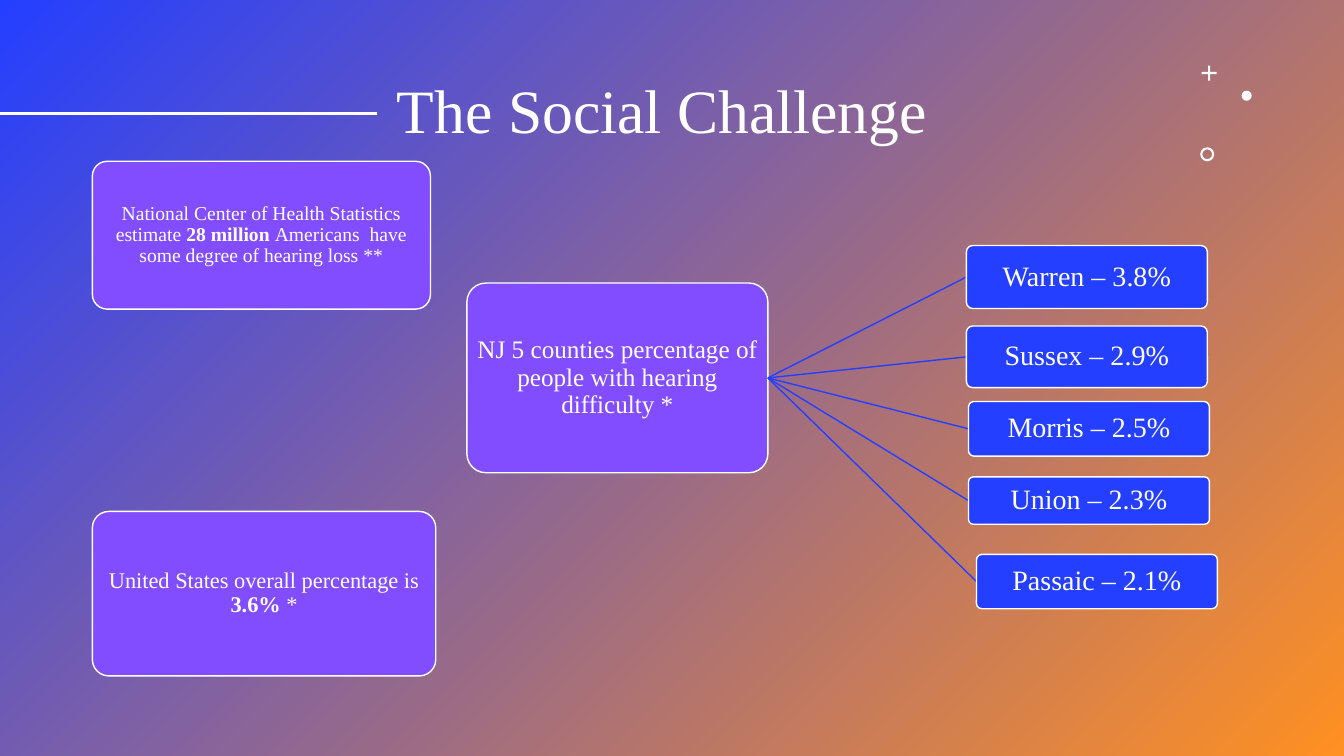
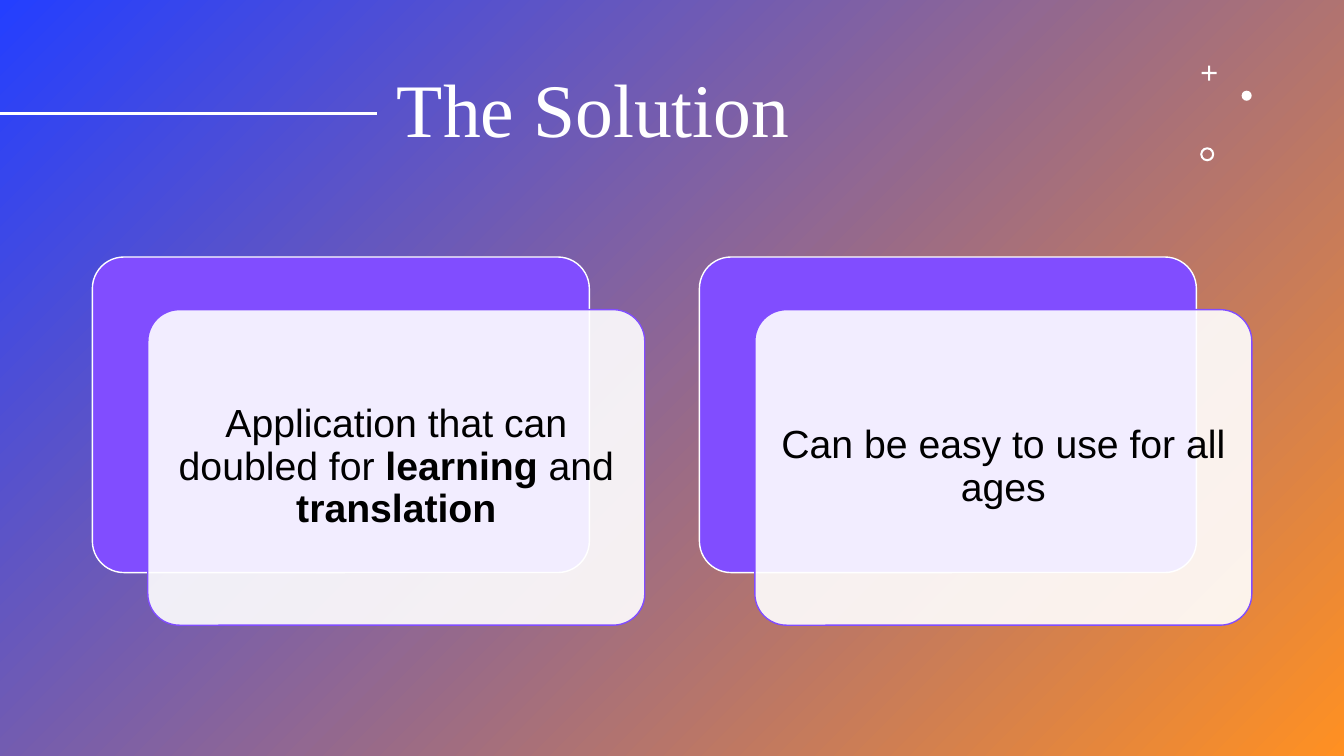
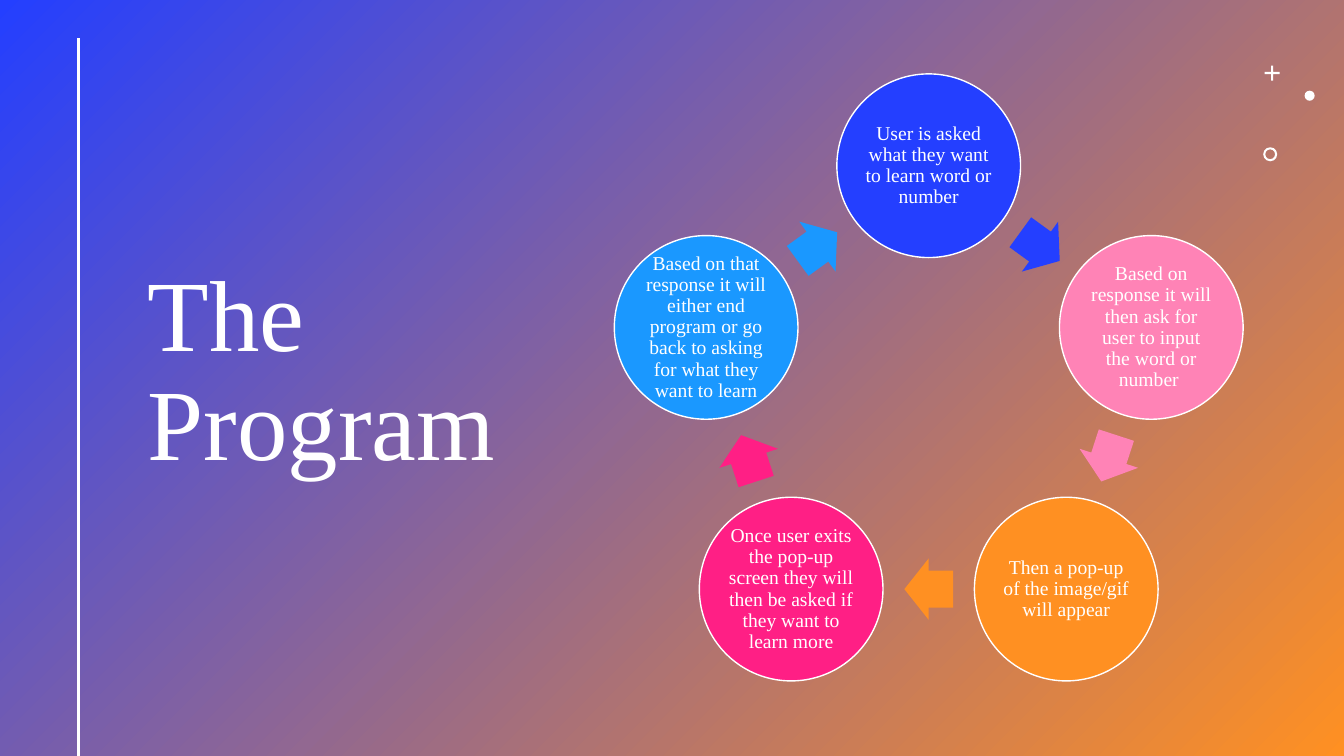
"""Build three slides on hearing loss, a learning app and its program loop."""
import math

from lxml import etree
from pptx import Presentation
from pptx import util as u
from pptx.dml.color import RGBColor
from pptx.enum import shapes, text
from pptx.oxml.ns import qn

Pt = u.Pt
SHAPE = shapes.MSO_SHAPE
WIDTH, HEIGHT = 960, 540
SERIF, SANS = "Times New Roman", "Arial"
WHITE = RGBColor(0xFF, 0xFF, 0xFF)
BLACK = RGBColor(0x00, 0x00, 0x00)
BLUE = RGBColor(0x24, 0x3F, 0xFF)
ORANGE = RGBColor(0xFF, 0x90, 0x22)
PURPLE = RGBColor(0x81, 0x4D, 0xFF)
ROSE = RGBColor(0xFF, 0x83, 0xB6)
MAGENTA = RGBColor(0xFF, 0x1F, 0x85)
SKY = RGBColor(0x1A, 0x98, 0xFF)


def add_shape(page, kind, box, fill=None, line=None, adjust=()):
    """Add a flat preset shape in box (left, top, width, height)."""
    shape = page.shapes.add_shape(kind, *map(Pt, box))
    shape.shadow.inherit = False
    if fill is not None:
        shape.fill.solid()
        shape.fill.fore_color.rgb = fill
    if line is None:
        shape.line.fill.background()
    else:
        shape.line.color.rgb = line
        shape.line.width = Pt(1)
    for index, value in enumerate(adjust):
        shape.adjustments[index] = value
    return shape


def add_line(page, start, end, color, width):
    """Add a straight line between two points."""
    line = page.shapes.add_connector(shapes.MSO_CONNECTOR.STRAIGHT, *map(Pt, start + end))
    line.line.color.rgb = color
    line.line.width = Pt(width)
    etree.SubElement(line.element.spPr, qn("a:effectLst"))
    return line


def write(shape, spans, size, font=SERIF, color=WHITE, align=text.PP_ALIGN.CENTER, margin=None):
    """Write one paragraph of (words, bold) spans, centred vertically."""
    frame = shape.text_frame
    frame.word_wrap = True
    frame.vertical_anchor = text.MSO_ANCHOR.MIDDLE
    if margin is not None:
        frame.margin_left = frame.margin_right = Pt(margin)
        frame.margin_top = frame.margin_bottom = Pt(margin)
    para = frame.paragraphs[0]
    para.alignment = align
    para.line_spacing = 0.9
    para.font.size = Pt(size)
    para.font.name = font
    para.font.color.rgb = color
    for words, bold in spans:
        span = para.add_run()
        span.text = words
        if bold:
            span.font.bold = True


def add_ornament(page, left, top):
    """Add the plus, dot and ring, with the plus at left, top."""
    add_shape(page, SHAPE.CROSS, (left, top, 10.8, 10.8), WHITE, adjust=[0.43])
    add_shape(page, SHAPE.OVAL, (left + 28.6, top + 18, 7.2, 7.2), WHITE)
    add_shape(page, SHAPE.DONUT, (left - 1, top + 58.4, 10, 10), WHITE, adjust=[0.15])


def add_page(deck, title, size, title_box, rule, ornament_left):
    """Add a slide with gradient, title, white rule and ornament."""
    page = deck.slides.add_slide(deck.slide_layouts[6])
    backdrop = add_shape(page, SHAPE.RECTANGLE, (0, 0, WIDTH, HEIGHT))
    backdrop.fill.gradient()
    backdrop.fill.gradient_angle = 315
    for stop, color, position in zip(backdrop.fill.gradient_stops, (BLUE, ORANGE), (0, 1)):
        stop.color.rgb = color
        stop.position = position
    heading = page.shapes.add_textbox(*map(Pt, title_box))
    write(heading, [(title, False)], size, align=text.PP_ALIGN.LEFT)
    add_line(page, *rule, WHITE, 2)
    add_ornament(page, ornament_left, 46.8)
    return page


def add_top_title_page(deck, title, size):
    """Add a slide whose title stands right of a horizontal rule."""
    return add_page(deck, title, size, (276.5, 28.8, 563.8, 104.4), ((0, 81), (269, 81)), 858.3)


def add_rounded(page, box, fill, spans, size):
    """Add a rounded box with white outline and centred text."""
    shape = add_shape(page, SHAPE.ROUNDED_RECTANGLE, box, fill, WHITE, [0.1])
    write(shape, spans, size, margin=0.8)
    return shape


def add_county_tree(page, left, top):
    """Add the county heading joined to one box for each county."""
    hub = add_rounded(page, (left, top + 26.8, 215, 135.5), PURPLE,
                      [("NJ 5 counties percentage of people with hearing difficulty *", False)], 18)
    counties = [
        ("Warren – 3.8%", 356.8, 0, 45),
        ("Sussex – 2.9%", 356.8, 57.5, 44),
        ("Morris – 2.5%", 358.3, 111.4, 39),
        ("Union – 2.3%", 358.3, 165.3, 33.8),
        ("Passaic – 2.1%", 364, 220.6, 38.8),
    ]
    for words, across, down, height in counties:
        link = add_line(page, (left, top), (left + across, top + down), BLUE, 1)
        county = add_rounded(page, (left + across, top + down, 172.1, height), BLUE,
                             [(words, False)], 20)
        link.begin_connect(hub, 3)
        link.end_connect(county, 1)


def add_layered_card(page, box, spans):
    """Add a purple card with a translucent text card in front, together filling box."""
    left, top, width, height = box
    shift_x, shift_y = 39.6, 37.6
    size = (width - shift_x, height - shift_y)
    add_shape(page, SHAPE.ROUNDED_RECTANGLE, (left, top) + size, PURPLE, WHITE, [0.1])
    front = add_shape(page, SHAPE.ROUNDED_RECTANGLE, (left + shift_x, top + shift_y) + size,
                      WHITE, PURPLE, [0.1])
    color = front.element.spPr.find(qn("a:solidFill")).find(qn("a:srgbClr"))
    etree.SubElement(color, qn("a:alpha")).set("val", "90000")
    write(front, spans, 28, SANS, BLACK, margin=8.4)


def add_cycle(page, box, steps):
    """Add a clockwise ring of circles, with an arrow after each, inside box."""
    left, top, width, height = box
    diameter, arrow_width, arrow_height = 131.2, 34.8, 44
    turn = 2 * math.pi / len(steps)
    radius = (height - diameter) / (1 + math.cos(turn / 2))
    center_x, center_y = left + width / 2, top + diameter / 2 + radius

    def place(angle, distance, wide, high):
        """Return the box of a part centred at an angle on the ring."""
        return (center_x + distance * math.sin(angle) - wide / 2,
                center_y - distance * math.cos(angle) - high / 2, wide, high)

    for index, (words, color) in enumerate(steps):
        angle = index * turn
        circle = add_shape(page, SHAPE.OVAL, place(angle, radius, diameter, diameter), color, WHITE)
        write(circle, [(words, False)], 14, margin=1.3)
        middle = angle + turn / 2
        arrow_box = place(middle, radius * math.cos(turn / 2), arrow_width, arrow_height)
        arrow = add_shape(page, SHAPE.RIGHT_ARROW, arrow_box, color, adjust=[0.6, 0.5])
        arrow.rotation = math.degrees(middle)


def build_challenge(deck):
    """Build the slide of hearing loss figures."""
    page = add_top_title_page(deck, "The Social Challenge", 44)
    add_rounded(page, (66, 115.2, 241.5, 105.6), PURPLE, [
        ("National Center of Health Statistics estimate ", False), ("28 million ", True),
        ("Americans  have some degree of hearing loss **", False)], 14)
    add_county_tree(page, 333.5, 175.4)
    add_rounded(page, (66, 365.3, 245.3, 117.5), PURPLE, [
        ("United States overall percentage is ", False), ("3.6%", True), (" *", False)], 16)


def build_solution(deck):
    """Build the slide of two layered cards."""
    page = add_top_title_page(deck, "The Solution", 54)
    cards = [
        [("Application that can doubled for ", False), ("learning ", True),
         ("and ", False), ("translation", True)],
        [("Can be easy to use for all ages", False)],
    ]
    for index, spans in enumerate(cards):
        add_layered_card(page, (66 + index * 433.6, 183.6, 394.6, 263), spans)


def build_program(deck):
    """Build the slide of the program loop."""
    page = add_page(deck, "The Program", 72, (98.6, 46.8, 310.4, 440),
                    ((56.1, 27.4), (56.1, HEIGHT)), 903.3)
    add_cycle(page, (438.8, 52.8, 449.2, 433.6), [
        ("User is asked what they want to learn word or number", BLUE),
        ("Based on response it will then ask for user to input the word or number ", ROSE),
        ("Then a pop-up of the image/gif will appear", ORANGE),
        ("Once user exits the pop-up screen they will then be asked if they want to learn more",
         MAGENTA),
        ("Based on that response it will either end program or go back to asking "
         "for what they want to learn", SKY),
    ])


def main():
    """Build and save the deck."""
    deck = Presentation()
    deck.slide_width, deck.slide_height = Pt(WIDTH), Pt(HEIGHT)
    build_challenge(deck)
    build_solution(deck)
    build_program(deck)
    deck.save("out.pptx")


if __name__ == "__main__":
    main()
